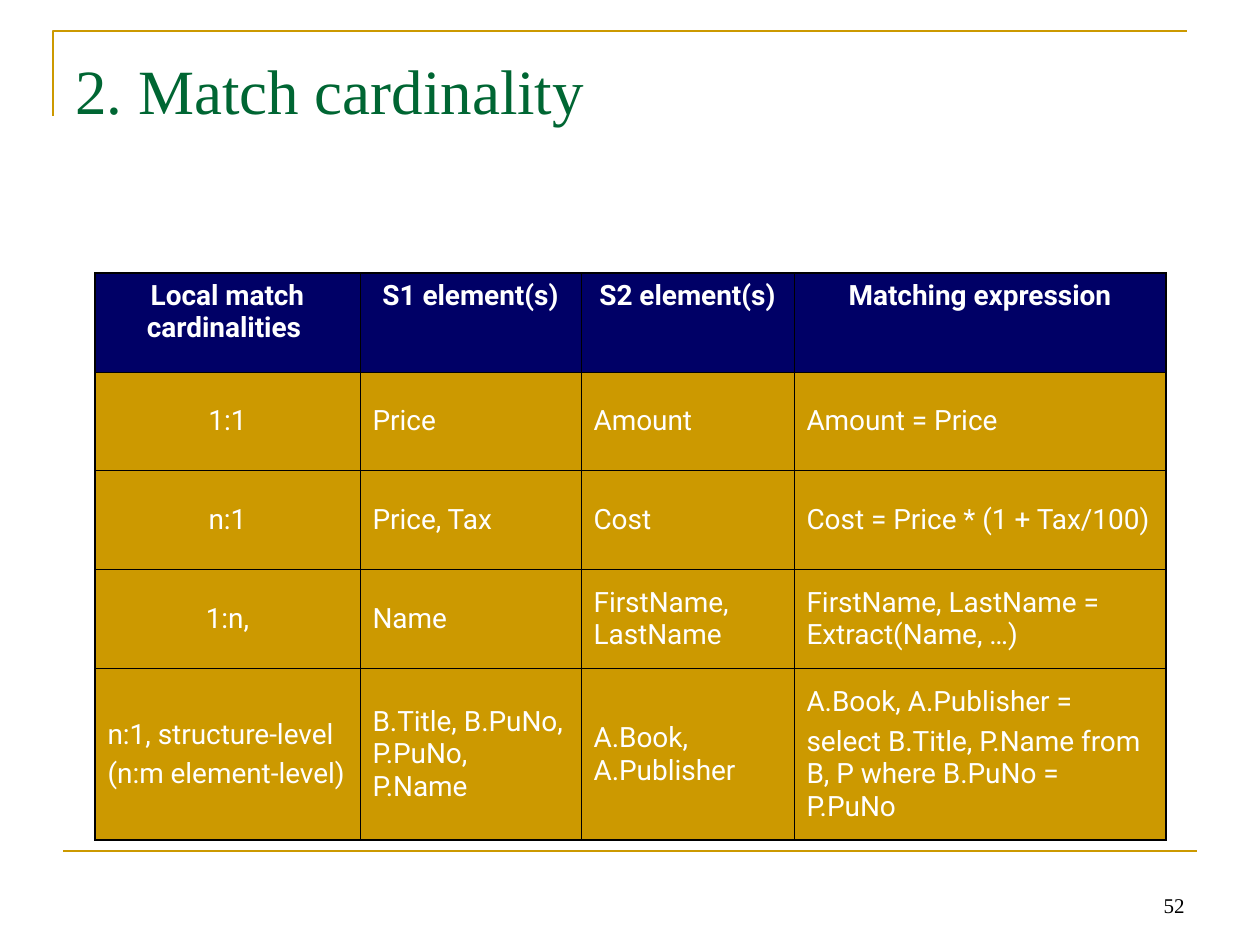
from dataclasses import dataclass
from lxml import etree
from pptx import Presentation
from pptx.dml.color import RGBColor
from pptx.enum.shapes import MSO_CONNECTOR
from pptx.enum.text import MSO_ANCHOR, PP_ALIGN
from pptx.oxml.ns import qn
from pptx.util import Emu, Pt

LEFT, CENTER, RIGHT = PP_ALIGN.LEFT, PP_ALIGN.CENTER, PP_ALIGN.RIGHT
TOP, MIDDLE, BOTTOM = MSO_ANCHOR.TOP, MSO_ANCHOR.MIDDLE, MSO_ANCHOR.BOTTOM
STRAIGHT = MSO_CONNECTOR.STRAIGHT

EMU_PER_PX = 914400 / 126
COLORS = {
    "gold": "CC9900",
    "green": "006633",
    "navy": "000066",
    "white": "FFFFFF",
    "black": "000000",
}
SERIF, SANS = "Times New Roman", "Roboto"
RULE_WIDTH = 1.5
OUTER_BORDER, INNER_BORDER = 1.08, 0.45

COLUMN_WIDTHS = [265, 221, 213, 372]
ROW_HEIGHTS = [99, 98, 99, 100, 171]
TABLE_LEFT, TABLE_TOP = 95, 273


@dataclass
class MatchRow:
    cardinality: str
    first_schema: str
    second_schema: str
    expression: str
    centered: bool = True

    def texts(self) -> list[str]:
        return [self.cardinality, self.first_schema, self.second_schema, self.expression]


HEADER = MatchRow("Local match cardinalities ", "S1 element(s)", "S2 element(s)", "Matching expression")
MATCHES = [
    MatchRow("1:1", "Price", "Amount", "Amount = Price"),
    MatchRow("n:1", "Price, Tax", "Cost", "Cost = Price * (1 + Tax/100)"),
    MatchRow("1:n,", "Name", "FirstName, LastName", "FirstName, LastName = Extract(Name, …)"),
    MatchRow(
        "n:1, structure-level\n(n:m element-level)",
        "B.Title, B.PuNo, P.PuNo, P.Name",
        "A.Book, A.Publisher",
        "A.Book, A.Publisher =\nselect B.Title, P.Name from B, P where B.PuNo = P.PuNo",
        centered=False,
    ),
]


def px(value: int) -> Emu:
    return Emu(round(value * EMU_PER_PX))


def color(name: str) -> RGBColor:
    return RGBColor.from_string(COLORS[name])


def write_text(frame, text: str, *, font: str, size: int, ink: str,
               bold: bool = False, align=LEFT, space: int = 0) -> None:
    frame.word_wrap = True
    for index, line in enumerate(text.split("\n")):
        paragraph = frame.paragraphs[0] if index == 0 else frame.add_paragraph()
        paragraph.alignment = align
        if index:
            paragraph.space_before = Pt(space)
        run = paragraph.add_run()
        run.text = line
        run.font.name = font
        run.font.size = Pt(size)
        run.font.bold = bold
        run.font.color.rgb = color(ink)


def add_text(slide, text: str, left: int, top: int, width: int, height: int, *,
             anchor=TOP, inset_top: int = 6, **text_format) -> None:
    frame = slide.shapes.add_textbox(px(left), px(top), px(width), px(height)).text_frame
    frame.vertical_anchor = anchor
    frame.margin_top = px(inset_top)
    write_text(frame, text, **text_format)


def style_rule(line) -> None:
    line.color.rgb = color("gold")
    line.width = Pt(RULE_WIDTH)


def add_corner_rule(slide) -> None:
    builder = slide.shapes.build_freeform(53, 116, scale=EMU_PER_PX)
    builder.add_line_segments([(53, 31), (1187, 31)], close=False)
    corner = builder.convert_to_shape()
    corner.shadow.inherit = False
    corner.fill.background()
    style_rule(corner.line)


def add_footer_rule(slide) -> None:
    rule = slide.shapes.add_connector(STRAIGHT, px(63), px(851), px(1197), px(851))
    style_rule(rule.line)
    etree.SubElement(rule._element.spPr, qn("a:effectLst"))


def set_border(cell, side: str, width: float) -> None:
    line = etree.SubElement(cell._tc.get_or_add_tcPr(), qn(f"a:ln{side}"), w=str(Pt(width)))
    fill = etree.SubElement(line, qn("a:solidFill"))
    etree.SubElement(fill, qn("a:srgbClr"), val=COLORS["black"])


def add_match_table(slide) -> None:
    rows = [HEADER, *MATCHES]
    last_row, last_column = len(rows) - 1, len(COLUMN_WIDTHS) - 1
    table = slide.shapes.add_table(
        len(rows), len(COLUMN_WIDTHS), px(TABLE_LEFT), px(TABLE_TOP),
        px(sum(COLUMN_WIDTHS)), px(sum(ROW_HEIGHTS))).table
    for column, width in zip(table.columns, COLUMN_WIDTHS):
        column.width = px(width)
    for row, height in zip(table.rows, ROW_HEIGHTS):
        row.height = px(height)
    for row_index, match in enumerate(rows):
        is_header = row_index == 0
        for column_index, text in enumerate(match.texts()):
            cell = table.cell(row_index, column_index)
            outer_sides = {
                "L": column_index == 0,
                "R": column_index == last_column,
                "T": is_header,
                "B": row_index == last_row,
            }
            for side, is_outer in outer_sides.items():
                set_border(cell, side, OUTER_BORDER if is_outer else INNER_BORDER)
            cell.fill.solid()
            cell.fill.fore_color.rgb = color("navy" if is_header else "gold")
            cell.vertical_anchor = TOP if is_header else MIDDLE
            centered = is_header or (column_index == 0 and match.centered)
            write_text(cell.text_frame, text, font=SANS, size=16, ink="white",
                       bold=is_header, align=CENTER if centered else LEFT, space=4)


def main() -> None:
    presentation = Presentation()
    presentation.slide_width, presentation.slide_height = px(1260), px(945)
    slide = presentation.slides.add_slide(presentation.slide_layouts[6])
    add_corner_rule(slide)
    add_footer_rule(slide)
    add_text(slide, "2. Match cardinality", 63, 38, 1134, 157,
             inset_top=14, font=SERIF, size=36, ink="green")
    add_match_table(slide)
    add_text(slide, "52", 903, 861, 294, 63, anchor=BOTTOM,
             font=SERIF, size=12, ink="black", align=RIGHT)
    presentation.save("out.pptx")


if __name__ == "__main__":
    main()
